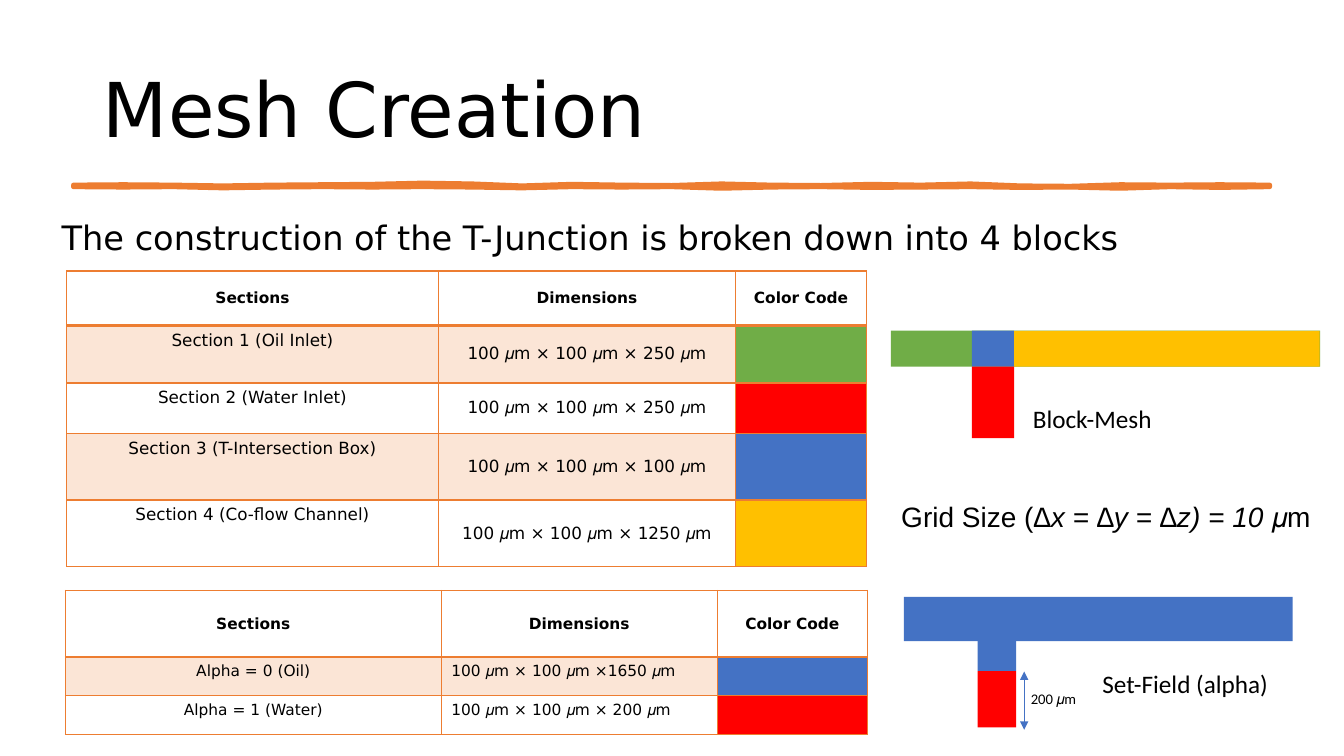
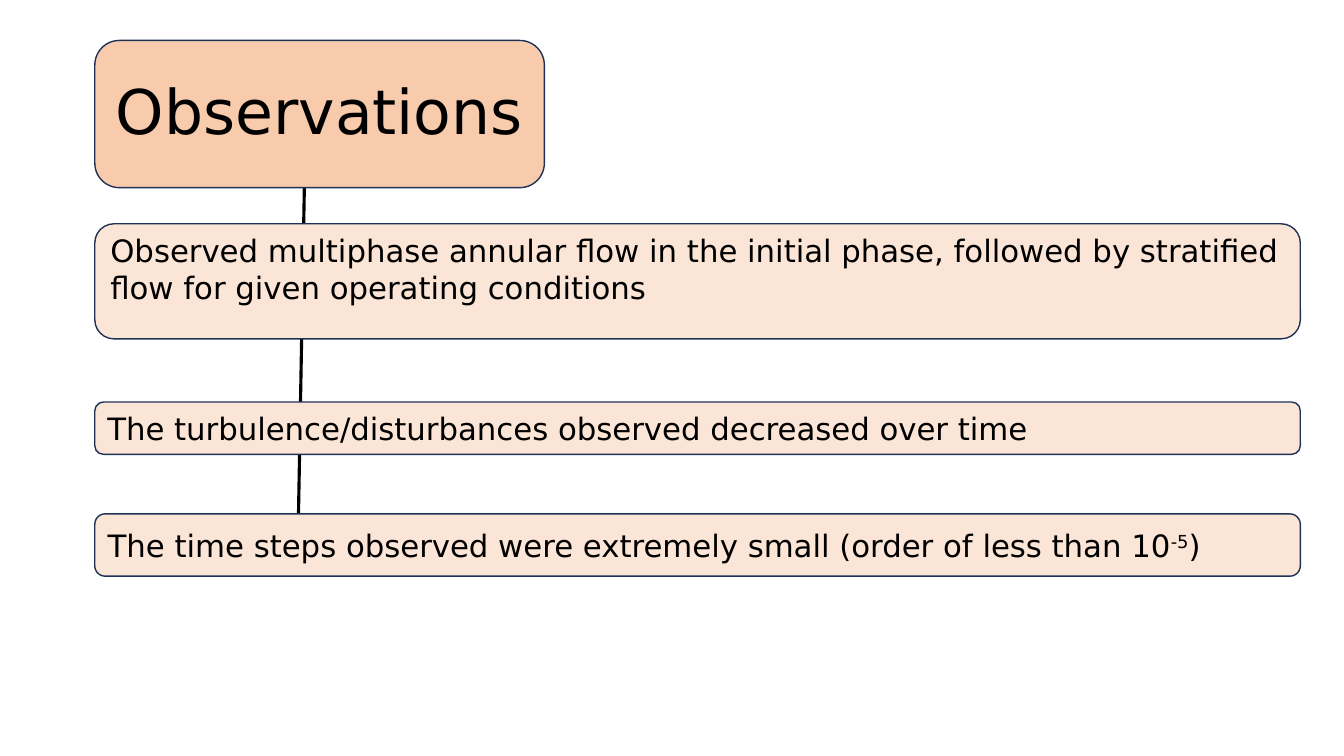
from pptx import Presentation
from pptx.dml.color import RGBColor as RGB
from pptx.enum.shapes import MSO_CONNECTOR as LINK, MSO_SHAPE as FORM
from pptx.enum.text import MSO_ANCHOR as ANCHOR, MSO_AUTO_SIZE as AUTO, PP_ALIGN as ALIGN
from pptx.oxml import parse_xml
from pptx.oxml.ns import nsdecls
from pptx.util import Cm, Pt

BLACK = RGB(0x00, 0x00, 0x00)
ORANGE = RGB(0xED, 0x7D, 0x31)
PEACH = RGB(0xF8, 0xCB, 0xAD)
PALE = RGB(0xFB, 0xE5, 0xD6)
NAVY = RGB(0x1E, 0x32, 0x56)
GREEN = RGB(0x70, 0xAD, 0x47)
RED = RGB(0xFF, 0x00, 0x00)
BLUE = RGB(0x44, 0x72, 0xC4)
GOLD = RGB(0xFF, 0xC0, 0x00)
MAIN = "DejaVu Sans"
TOP = [0, -1, 0, 2, 0, -1, -2, -5, -3, 2, -2, 0, 1, -3,
       0, 1, -2, 0, -3, 2, 3, -1, 0, -1, 0]
BASE = [0, 1, 0, 3, 1, 0, 1, 0, 1, 3, 0, 1, 0, 4,
        1, 0, 2, 1, 0, 2, 1, 4, 0, 2, 0]


def tag(text):
    return parse_xml(text.replace("/>", f" {nsdecls('a')}/>", 1))


class Deck:
    def __init__(self):
        self.show = Presentation()
        self.show.slide_width = Cm(33.87)
        self.show.slide_height = Cm(19.05)
        self.slide = None

    def page(self, kind):
        layout = self.show.slide_layouts[kind]
        self.slide = self.show.slides.add_slide(layout)

    def text(self, frame, parts, size, font=MAIN, align=ALIGN.LEFT,
             bold=False, space=1.0):
        para = frame.paragraphs[0]
        if isinstance(parts, str):
            para.text = parts
        else:
            for part in parts:
                para.add_run().text = part
        para.alignment = align
        para.line_spacing = space
        para.space_before = Pt(0)
        for run in para.runs:
            run.font.name = font
            run.font.size = Pt(size)
            run.font.bold = bold
            run.font.color.rgb = BLACK
        return para

    def place(self, holder, box, anchor):
        holder.left, holder.top, holder.width, holder.height = map(Cm, box)
        frame = holder.text_frame
        frame.auto_size = AUTO.NONE
        frame.vertical_anchor = anchor
        return frame

    def title(self, text, box, size, align=ALIGN.LEFT):
        holder = self.slide.shapes.title
        frame = self.place(holder, box, ANCHOR.MIDDLE)
        self.text(frame, text, size, align=align, space=0.9)
        return holder

    def body(self, text, box):
        frame = self.place(self.slide.placeholders[1], box, ANCHOR.TOP)
        props = frame.paragraphs[0]._p.get_or_add_pPr()
        props.set("marL", "0")
        props.set("indent", "0")
        props.append(tag("<a:buNone/>"))
        self.text(frame, text, 24, space=1.07)

    def wave(self, left, top, width, depth):
        step = width / (len(TOP) - 1)
        upper = [(left + i * step, top + d / 100) for i, d in enumerate(TOP)]
        lower = [(left + i * step, top + depth + d / 100)
                 for i, d in enumerate(BASE)]
        dots = [(Cm(x), Cm(y)) for x, y in upper + lower[::-1]]
        pen = self.slide.shapes.build_freeform(*dots[0])
        pen.add_line_segments(dots[1:], close=True)
        band = pen.convert_to_shape()
        band.shadow.inherit = False
        band.fill.solid()
        band.fill.fore_color.rgb = ORANGE
        band.line.color.rgb = ORANGE
        band.line.width = Pt(3.25)

    def shape(self, box, fill, form=FORM.RECTANGLE, edge=None):
        item = self.slide.shapes.add_shape(form, *map(Cm, box))
        item.shadow.inherit = False
        item.fill.solid()
        item.fill.fore_color.rgb = fill
        if edge is None:
            item.line.fill.background()
        else:
            item.line.color.rgb = edge
            item.line.width = Pt(1)
        return item

    def card(self, box, fill, parts=None, anchor=ANCHOR.MIDDLE):
        item = self.shape(box, fill, FORM.ROUNDED_RECTANGLE, NAVY)
        if parts:
            frame = item.text_frame
            frame.word_wrap = True
            frame.vertical_anchor = anchor
            frame.margin_top = frame.margin_bottom = Cm(0.05)
            self.text(frame, parts, 22)
        return item

    def label(self, parts, box, size, font="Calibri", **style):
        frame = self.slide.shapes.add_textbox(*map(Cm, box)).text_frame
        frame.word_wrap = True
        return self.text(frame, parts, size, font, **style)

    def line(self, start, end, color, width, heads=False):
        link = self.slide.shapes.add_connector(
            LINK.STRAIGHT, *map(Cm, start + end))
        link.line.color.rgb = color
        link.line.width = Pt(width)
        if heads:
            stroke = link.line._get_or_add_ln()
            for side in ("head", "tail"):
                stroke.append(tag(f'<a:{side}End type="triangle"/>'))
        link._element.spPr.append(tag("<a:effectLst/>"))

    def border(self, cell, thick):
        props = cell._tc.get_or_add_tcPr()
        for spot, side in enumerate("LRTB"):
            width = Pt(2 if side == thick else 1)
            props.insert(spot, parse_xml(
                f'<a:ln{side} {nsdecls("a")} w="{width}"><a:solidFill>'
                f'<a:srgbClr val="{ORANGE}"/></a:solidFill></a:ln{side}>'))

    def table(self, left, top, cols, tall, rows, size, align, anchor):
        rows = [("Sections", "Dimensions", "Color Code")] + rows
        grid = self.slide.shapes.add_table(
            len(rows), len(cols), Cm(left), Cm(top),
            Cm(sum(cols)), Cm(sum(tall))).table
        grid.first_row = grid.horz_banding = False
        for col, width in zip(grid.columns, cols):
            col.width = Cm(width)
        for r, (row, height) in enumerate(zip(rows, tall)):
            grid.rows[r].height = Cm(height)
            for c, value in enumerate(row):
                cell = grid.cell(r, c)
                tint = PALE if r % 2 else None
                if isinstance(value, RGB):
                    tint = value
                    cell.margin_top = cell.margin_bottom = 0
                else:
                    mid = c == 1 and r > 0
                    head = r == 0
                    cell.vertical_anchor = (
                        ANCHOR.MIDDLE if head else anchor if mid else ANCHOR.TOP)
                    self.text(cell.text_frame, value, 11 if head else size,
                              align=align if mid else ALIGN.CENTER, bold=head)
                if tint is None:
                    cell.fill.background()
                else:
                    cell.fill.solid()
                    cell.fill.fore_color.rgb = tint
                self.border(cell, {0: "B", 1: "T"}.get(r))


def mesh(deck):
    deck.page(1)
    deck.title("Mesh Creation", (2.34, 1.02, 29.21, 3.68), 54)
    deck.wave(1.85, 4.66, 30.15, 0.05)
    deck.body("The construction of the T-Junction is broken down into 4 blocks",
              (1.3, 5.26, 29.26, 1.57))
    for box, fill in [
        ((22.45, 8.33, 10.82, 0.91), GREEN),
        ((24.49, 8.33, 1.07, 0.91), BLUE),
        ((24.49, 9.24, 1.07, 1.8), RED),
        ((25.56, 8.34, 7.7, 0.9), GOLD),
        ((22.78, 15.04, 9.8, 1.12), BLUE),
        ((24.64, 16, 0.97, 0.91), BLUE),
        ((24.64, 16.91, 0.97, 1.42), RED),
    ]:
        deck.shape(box, fill)
    deck.table(1.68, 6.83, (9.37, 7.49, 3.3), (1.37, 1.45, 1.27, 1.68, 1.68), [
        ("Section 1 (Oil Inlet)", "100 𝜇m × 100 𝜇m × 250 𝜇m", GREEN),
        ("Section 2 (Water Inlet)", "100 𝜇m × 100 𝜇m × 250 𝜇m", RED),
        ("Section 3 (T-Intersection Box)", "100 𝜇m × 100 𝜇m × 100 𝜇m", BLUE),
        ("Section 4 (Co-flow Channel)", "100 𝜇m × 100 𝜇m × 1250 𝜇m", GOLD),
    ], 12, ALIGN.CENTER, ANCHOR.MIDDLE)
    deck.table(1.65, 14.88, (9.47, 6.96, 3.78), (1.68, 0.97, 0.97), [
        ("Alpha = 0 (Oil)", "100 𝜇m × 100 𝜇m ×1650 𝜇m", BLUE),
        ("Alpha = 1 (Water)", "100 𝜇m × 100 𝜇m × 200 𝜇m", RED),
    ], 11, ALIGN.LEFT, ANCHOR.TOP)
    size = deck.label(["Grid Size (", "∆x = ∆y = ∆z) = 10 ", "𝜇m"],
                      (21.87, 12.4, 12, 1.2), 20, "Arial",
                      align=ALIGN.CENTER, space=1.07)
    size.runs[1].font.italic = True
    deck.label("Block-Mesh", (25.78, 10.03, 4.19, 1.02), 18)
    deck.label("Set-Field (alpha)", (27.53, 16.71, 5.23, 1.02), 18)
    deck.line((25.81, 16.92), (25.81, 18.39), BLUE, 0.5, heads=True)
    deck.label("200 𝜇m", (25.73, 17.25, 2.2, 0.71), 10.5)


def notes(deck):
    deck.page(5)
    deck.line((7.67, 4.72), (7.52, 13.08), BLACK, 2.25)
    box = (2.39, 1.02, 11.33, 3.71)
    card = deck.card(box, PEACH)
    title = deck.title("Observations", box, 44, ALIGN.CENTER)
    card.element.addnext(title.element)
    left, width = 2.39, 30.38
    deck.card((left, 5.64, width, 2.9), PALE,
              "Observed multiphase annular flow in the initial phase, followed "
              "by stratified flow for given operating conditions", ANCHOR.TOP)
    deck.card((left, 10.13, width, 1.32), PALE,
              "The turbulence/disturbances observed decreased over time")
    last = deck.card((left, 12.95, width, 1.57), PALE, [
        "The time steps observed were extremely small (order of less than 10",
        "-5", ")"])
    power = last.text_frame.paragraphs[0].runs[1]
    power._r.get_or_add_rPr().set("baseline", "30000")


def main():
    deck = Deck()
    mesh(deck)
    notes(deck)
    deck.show.save("out.pptx")


if __name__ == "__main__":
    main()
